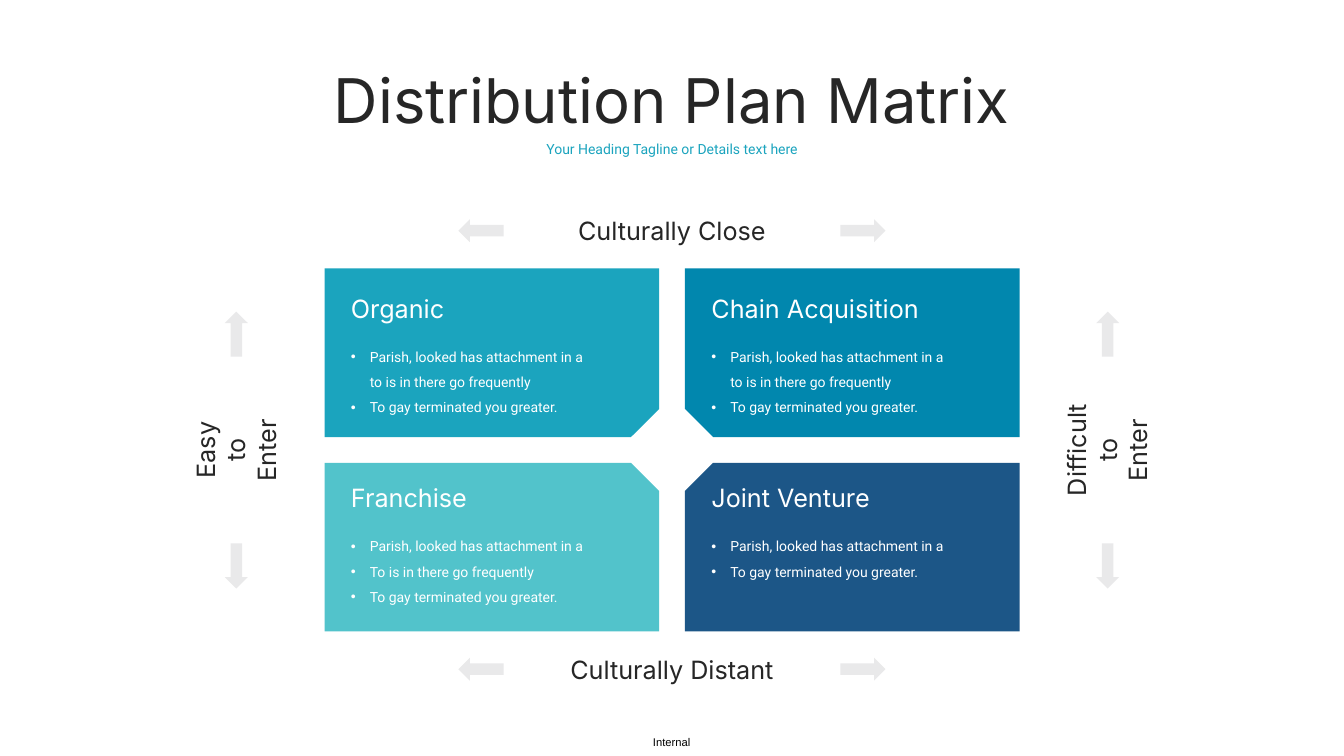
from dataclasses import dataclass

from lxml.etree import SubElement
from pptx import Presentation
from pptx.dml.color import RGBColor
from pptx.enum.shapes import MSO_SHAPE
from pptx.enum.text import MSO_AUTO_SIZE, PP_ALIGN
from pptx.oxml.ns import qn
from pptx.slide import Slide
from pptx.util import Pt


@dataclass(frozen=True)
class TextStyle:
    font: str
    size: float
    color: str


@dataclass(frozen=True)
class Theme:
    title: TextStyle = TextStyle("Inter", 44, "262626")
    tagline: TextStyle = TextStyle("Roboto", 10, "1BA4BE")
    axis: TextStyle = TextStyle("Inter", 18, "262626")
    heading: TextStyle = TextStyle("Inter", 18, "FFFFFF")
    bullet: TextStyle = TextStyle("Roboto", 10, "FFFFFF")
    marking: TextStyle = TextStyle("Arial", 8, "000000")
    arrow: str = "E9E9EA"
    organic: str = "1BA4BE"
    chain: str = "0187AE"
    franchise: str = "52C3CB"
    venture: str = "1C5687"


@dataclass(frozen=True)
class Box:
    left: float
    top: float
    width: float
    height: float


@dataclass(frozen=True)
class Quadrant:
    column: int
    row: int
    color: str
    heading: str
    bullets: tuple[str, ...]
    heading_width: float = 144


@dataclass(frozen=True)
class AxisLabel:
    lines: tuple[str, ...]
    center_x: float
    center_y: float
    width: float
    height: float
    vertical: bool = False


THEME = Theme()

# Matrix geometry
CENTER_X, CENTER_Y = 480, 321.5
CARD_WIDTH, CARD_HEIGHT = 239, 120.4
CARD_LEFT, CARD_TOP = 231.8, 191.8
COLUMN_STEP, ROW_STEP = 257.5, 138.8
TEXT_INSET = 11.8
HEADING_TOPS = (205.9, 341.3)
BULLETS_DROP = 33.4
BULLET_INDENT = 13.5

# Arrow geometry
ARROW_WIDTH, ARROW_HEIGHT = 16.4, 32.2
SIDE_REACH, VERTICAL_REACH = 136.4, 82.8

OPENING = "Parish, looked has attachment in a"
CLOSING = "To gay terminated you greater."
LONG_LIST = (f"{OPENING} to is in there go frequently", CLOSING)

QUADRANTS = (
    Quadrant(0, 0, THEME.organic, "Organic", LONG_LIST),
    Quadrant(0, 1, THEME.franchise, "Franchise",
             (OPENING, "To is in there go frequently", CLOSING)),
    Quadrant(1, 0, THEME.chain, "Chain Acquisition", LONG_LIST, 176.4),
    Quadrant(1, 1, THEME.venture, "Joint Venture", (OPENING, CLOSING)),
)

AXIS_LABELS = (
    AxisLabel(("Culturally Close",), CENTER_X, 164.8, 168, 29),
    AxisLabel(("Culturally Distant",), CENTER_X, 478, 168, 29),
    AxisLabel(("Easy", "to", "Enter"), 168.8, CENTER_Y, 65.6, 72.7, True),
    AxisLabel(("Difficult", "to", "Enter"), 791.2, CENTER_Y, 92.2, 72.7, True),
)


def add_text(slide: Slide, box: Box, lines: tuple[str, ...], style: TextStyle,
             centered: bool = False, bulleted: bool = False,
             rotation: float = 0, inset: bool = True) -> None:
    holder = slide.shapes.add_textbox(
        Pt(box.left), Pt(box.top), Pt(box.width), Pt(box.height))
    holder.rotation = rotation
    frame = holder.text_frame
    frame.word_wrap = True
    frame.auto_size = MSO_AUTO_SIZE.SHAPE_TO_FIT_TEXT
    if not inset:
        frame.margin_left = frame.margin_right = Pt(0)
        frame.margin_top = frame.margin_bottom = Pt(0)
    for index, line in enumerate(lines):
        paragraph = frame.add_paragraph() if index else frame.paragraphs[0]
        paragraph.text = line
        paragraph.alignment = PP_ALIGN.CENTER if centered else PP_ALIGN.LEFT
        if bulleted:
            paragraph.line_spacing = 1.5
            properties = paragraph._p.get_or_add_pPr()
            properties.set("marL", str(Pt(BULLET_INDENT)))
            properties.set("indent", str(-Pt(BULLET_INDENT)))
            SubElement(properties, qn("a:buFont"), typeface="Arial")
            SubElement(properties, qn("a:buChar"), char="•")
        paragraph.font.name = style.font
        paragraph.font.size = Pt(style.size)
        paragraph.font.color.rgb = RGBColor.from_string(style.color)


def add_block(slide: Slide, kind: MSO_SHAPE, box: Box, color: str,
              rotation: float = 0, flip_h: bool = False,
              flip_v: bool = False) -> None:
    block = slide.shapes.add_shape(
        kind, Pt(box.left), Pt(box.top), Pt(box.width), Pt(box.height))
    block.shadow.inherit = False
    block.fill.solid()
    block.fill.fore_color.rgb = RGBColor.from_string(color)
    block.line.fill.background()
    block.rotation = rotation
    transform = block._element.spPr.find(qn("a:xfrm"))
    if flip_h:
        transform.set("flipH", "1")
    if flip_v:
        transform.set("flipV", "1")


def add_quadrant(slide: Slide, quadrant: Quadrant) -> None:
    left = CARD_LEFT + quadrant.column * COLUMN_STEP
    top = CARD_TOP + quadrant.row * ROW_STEP
    # The snipped corner faces the centre of the matrix
    add_block(slide, MSO_SHAPE.SNIP_1_RECTANGLE,
              Box(left, top, CARD_WIDTH, CARD_HEIGHT), quadrant.color,
              flip_h=quadrant.column == 1, flip_v=quadrant.row == 0)
    text_left = left + TEXT_INSET
    heading_top = HEADING_TOPS[quadrant.row]
    add_text(slide, Box(text_left, heading_top, quadrant.heading_width, 29),
             (quadrant.heading,), THEME.heading)
    add_text(slide, Box(text_left, heading_top + BULLETS_DROP, 189.4, 60),
             quadrant.bullets, THEME.bullet, bulleted=True)


def add_axis(slide: Slide, label: AxisLabel) -> None:
    box = Box(label.center_x - label.width / 2, label.center_y - label.height / 2,
              label.width, label.height)
    add_text(slide, box, label.lines, THEME.axis, centered=True,
             rotation=270 if label.vertical else 0)
    # One arrow points away from each end of the label
    if label.vertical:
        arrows = ((0, -VERTICAL_REACH, 0), (0, VERTICAL_REACH, 180))
    else:
        arrows = ((-SIDE_REACH, 0, 270), (SIDE_REACH, 0, 90))
    for dx, dy, rotation in arrows:
        arrow_box = Box(label.center_x + dx - ARROW_WIDTH / 2,
                        label.center_y + dy - ARROW_HEIGHT / 2,
                        ARROW_WIDTH, ARROW_HEIGHT)
        add_block(slide, MSO_SHAPE.UP_ARROW, arrow_box, THEME.arrow, rotation)


def main() -> None:
    presentation = Presentation()
    presentation.slide_width, presentation.slide_height = Pt(960), Pt(540)
    slide = presentation.slides.add_slide(presentation.slide_layouts[6])

    # Title, tagline and footer marking
    add_text(slide, Box(210, 41, 540, 60.5), ("Distribution Plan Matrix",),
             THEME.title, centered=True)
    add_text(slide, Box(378.8, 96.8, 202.4, 19.4),
             ("Your Heading Tagline or Details text here",),
             THEME.tagline, centered=True)
    add_text(slide, Box(466.4, 525.6, 28.8, 9.4), ("Internal",),
             THEME.marking, inset=False)

    # Matrix and its axes
    for quadrant in QUADRANTS:
        add_quadrant(slide, quadrant)
    for label in AXIS_LABELS:
        add_axis(slide, label)

    presentation.save("out.pptx")


if __name__ == "__main__":
    main()
